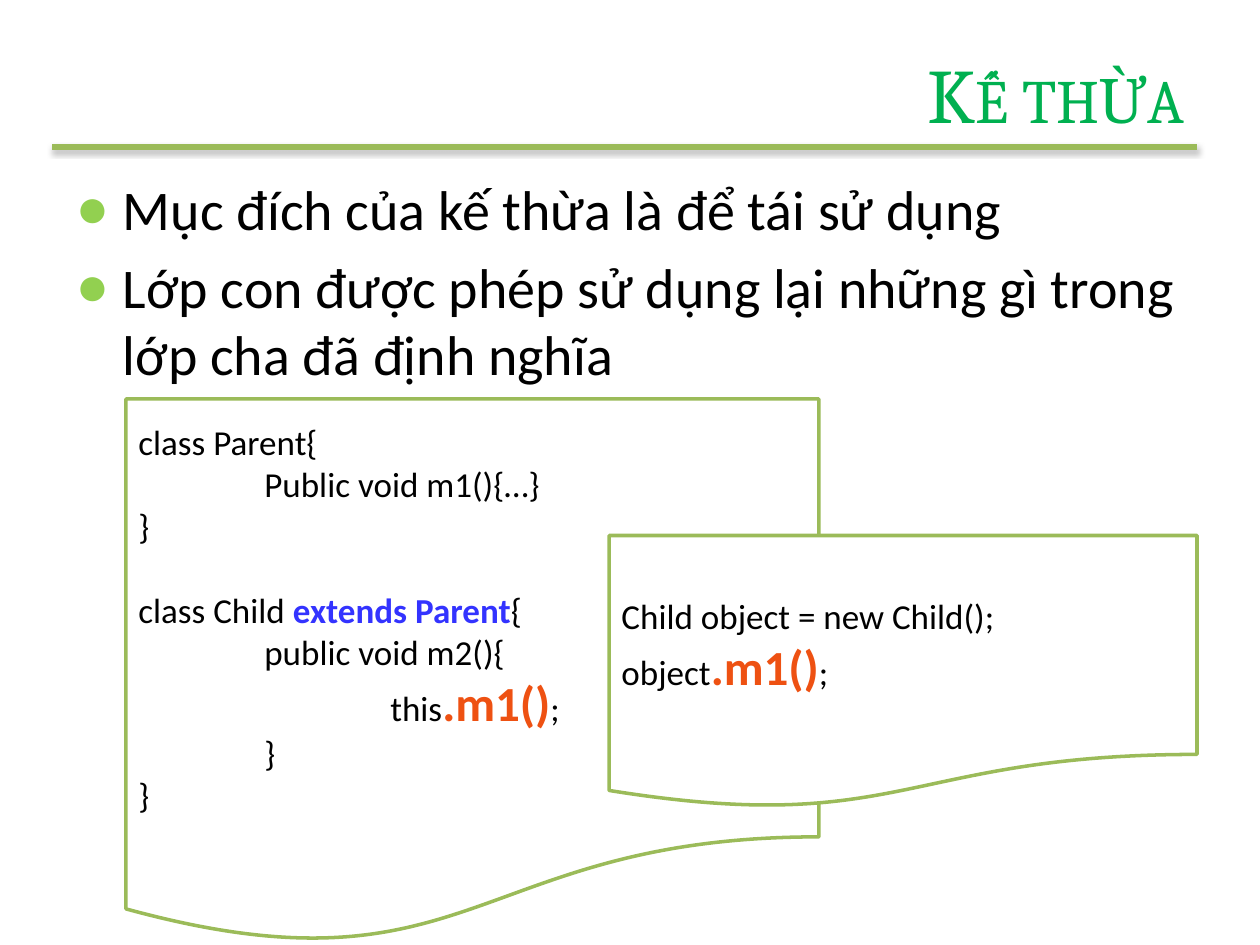
from lxml.etree import SubElement
from pptx import Presentation
from pptx.dml.color import RGBColor
from pptx.enum.shapes import MSO_CONNECTOR as LINK, MSO_SHAPE as FORM
from pptx.enum.text import MSO_ANCHOR as ANCHOR, MSO_AUTO_SIZE as FIT, PP_ALIGN as ALIGN
from pptx.oxml.ns import qn
from pptx.util import Emu, Pt

PX = 7620  # EMU per px, 120 px to the inch
TAB = 120
GREEN, BLACK, BLUE, RED = "9BBB59", "000000", "3333FF", "EE5112"


def px(n):
    return Emu(n * PX)


def rgb(code):
    return RGBColor.from_string(code)


def put(item, tag, **attrs):
    return SubElement(item, qn(tag), attrs)


class Deck:
    def __init__(self):
        self.prs = Presentation()
        self.prs.slide_width, self.prs.slide_height = px(1200), px(900)
        self.slide = self.prs.slides.add_slide(self.prs.slide_layouts[1])
        self.shapes = self.slide.shapes

    def place(self, shape, box):
        shape.left, shape.top, shape.width, shape.height = map(px, box)
        frame = shape.text_frame
        frame.word_wrap = True
        frame.auto_size = FIT.NONE
        return frame

    def style(self, font, size, color, name="Calibri"):
        font.name, font.size = name, Pt(size)
        font.color.rgb = rgb(color)

    def rule(self, x1, x2, y):
        line = self.shapes.add_connector(LINK.STRAIGHT, px(x1), px(y), px(x2), px(y))
        line.line.color.rgb, line.line.width = rgb(GREEN), Pt(3)
        effect = put(line._element.spPr, "a:effectLst")
        shade = put(effect, "a:outerShdw", blurRad="40000", dist="23000",
                    dir="5400000", rotWithShape="0")
        tint = put(shade, "a:srgbClr", val=BLACK)
        put(tint, "a:alpha", val="35000")

    def title(self, text, box):
        frame = self.place(self.shapes.title, box)
        frame.vertical_anchor = ANCHOR.MIDDLE
        para = frame.paragraphs[0]
        para.alignment = ALIGN.RIGHT
        self.style(para.font, 44, "00B050", "Cambria")
        run = para.add_run()
        run.text = text
        run._r.get_or_add_rPr().set("cap", "small")

    def bullets(self, items, box):
        frame = self.place(self.slide.placeholders[1], box)
        frame.text = "\n".join(items)
        for para in frame.paragraphs:
            props = para._p.get_or_add_pPr()
            put(put(props, "a:buClr"), "a:srgbClr", val="92D050")
            put(props, "a:buChar", char="●")
            self.style(para.font, 32, BLACK)

    def code(self, rows, box):
        """Each row is (tabs, gap before in points, parts); a part is text or (text, size, color)."""
        shape = self.shapes.add_shape(FORM.FLOWCHART_DOCUMENT, *map(px, box))
        shape.shadow.inherit = False
        shape.fill.solid()
        shape.fill.fore_color.rgb = rgb("FFFFFF")
        shape.line.color.rgb, shape.line.width = rgb(GREEN), Pt(2)
        frame = self.place(shape, box)
        frame.vertical_anchor = ANCHOR.MIDDLE
        for i, (tabs, gap, parts) in enumerate(rows):
            para = frame.add_paragraph() if i else frame.paragraphs[0]
            para.alignment, para.space_before = ALIGN.LEFT, Pt(gap)
            para._p.get_or_add_pPr().set("marL", str(px(tabs * TAB)))
            self.style(para.font, 20, BLACK)
            for part in parts:
                run = para.add_run()
                if isinstance(part, str):
                    run.text = part
                else:
                    run.text, size, color = part
                    self.style(run.font, size, color)
                    run.font.bold = True


def main():
    deck = Deck()
    call = (".m1()", 28, RED)
    deck.rule(50, 1140, 140)
    deck.title("Kế thừa", (174, 36, 966, 104))
    deck.bullets([
        "Mục đích của kế thừa là để tái sử dụng",
        "Lớp con được phép sử dụng lại những gì trong lớp cha đã định nghĩa",
    ], (60, 160, 1080, 240))
    deck.code([
        (0, 0, ["class Parent{"]),
        (1, 0, ["Public void m1(){…}"]),
        (0, 0, ["}"]),
        (0, 24, ["class Child ", ("extends Parent", 20, BLUE), "{"]),
        (1, 0, ["public void m2(){"]),
        (2, 0, ["this", call, ";"]),
        (1, 0, ["}"]),
        (0, 0, ["}"]),
    ], (120, 380, 660, 520))
    deck.code([
        (0, 0, ["Child object = new Child();"]),
        (0, 0, ["object", call, ";"]),
    ], (580, 510, 560, 260))
    deck.prs.save("out.pptx")


if __name__ == "__main__":
    main()
